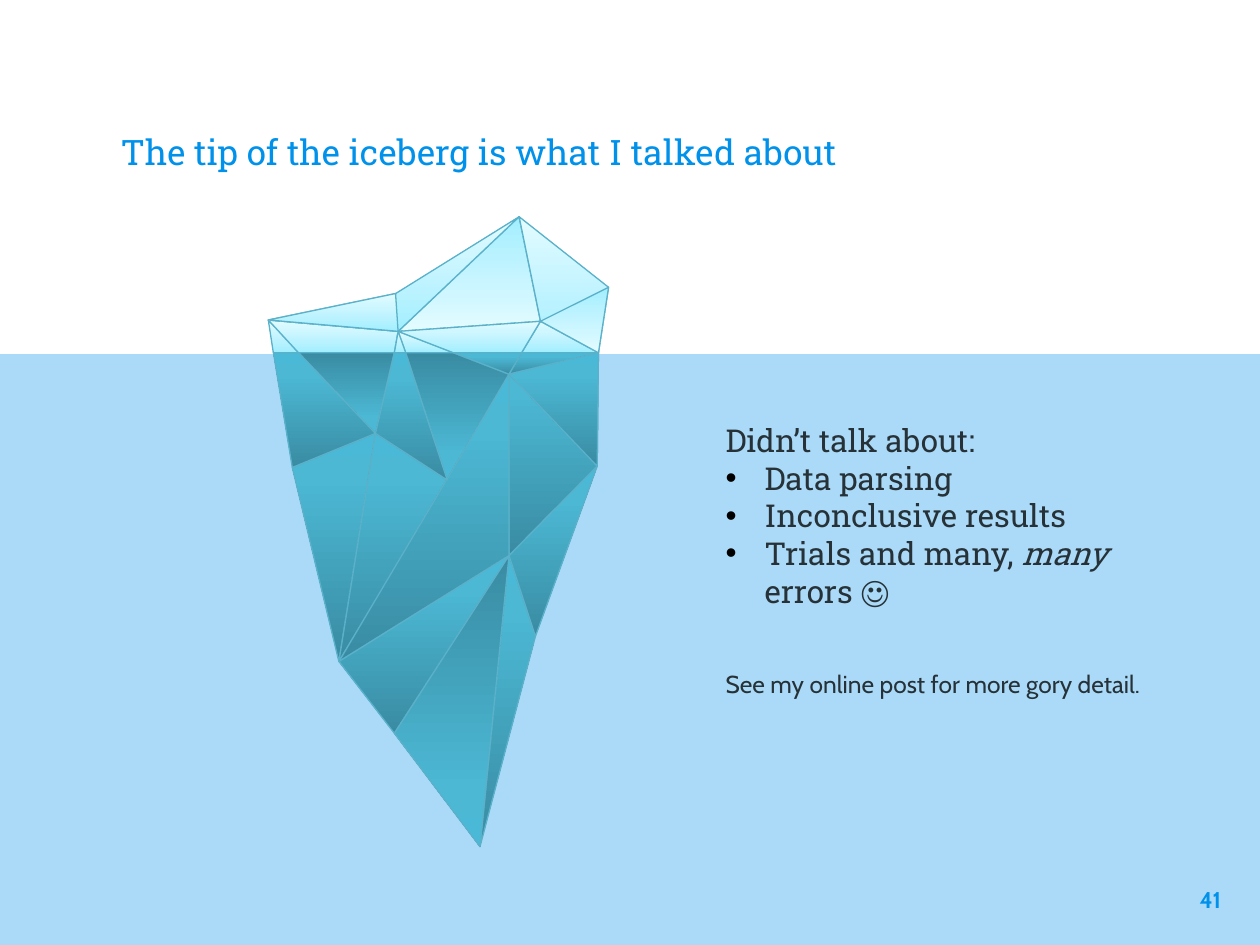
from copy import deepcopy

from lxml.etree import SubElement
from pptx import Presentation
from pptx.dml.color import RGBColor
from pptx.enum.shapes import MSO_SHAPE
from pptx.enum.text import MSO_ANCHOR, MSO_AUTO_SIZE, PP_ALIGN
from pptx.oxml.ns import qn
from pptx.util import Inches, Pt

BLUE = RGBColor(0x00, 0x91, 0xEA)
INK = RGBColor(0x26, 0x32, 0x38)
EDGE = RGBColor(0x5A, 0xB1, 0xC9)
ICE = [(0, RGBColor(0xA1, 0xEF, 0xFF)), (0.35, RGBColor(0xBB, 0xF2, 0xFF)),
       (1, RGBColor(0xE3, 0xFC, 0xFF))]
DEEP = [(0, RGBColor(0x39, 0x8B, 0xA2)), (0.8, RGBColor(0x4C, 0xB8, 0xD4)),
        (1, RGBColor(0x4A, 0xB9, 0xD8))]
SLAB, CABIN = "Roboto Slab", "Cabin"
UP, DOWN = 90, 270  # direction in which a gradient runs

# Corners of the iceberg: a-f above the water, g-m at its surface, n-w below.
CORNERS = {
    "a": (4.12, 1.72), "b": (4.83, 2.28), "c": (3.14, 2.33),
    "d": (2.13, 2.54), "e": (4.29, 2.55), "f": (3.16, 2.63),
    "g": (2.17, 2.8), "h": (2.37, 2.8), "i": (3.13, 2.8), "j": (3.22, 2.8),
    "k": (3.6, 2.8), "l": (4.14, 2.8), "m": (4.75, 2.8),
    "n": (4.04, 2.97), "o": (2.98, 3.44), "p": (4.74, 3.7),
    "q": (2.32, 3.71), "r": (3.55, 3.81), "s": (4.04, 4.41),
    "t": (4.25, 5.05), "u": (2.69, 5.25), "v": (3.13, 5.82),
    "w": (3.81, 6.72),
}
# Facets from back to front.
FACETS = [
    (ICE, UP, ["mdh"]), (ICE, DOWN, ["afe"]),
    (ICE, UP, ["abme", "dhg", "fihd", "afdc", "eml", "jfk", "cfd"]),
    (ICE, DOWN, ["bem"]), (ICE, UP, ["jfi"]),
    (DEEP, UP, ["mpsn", "ouq"]), (DEEP, DOWN, ["ioh"]),
    (DEEP, UP, ["stw", "mnl"]), (DEEP, DOWN, ["rjkn"]),
    (DEEP, UP, ["rou", "nus", "hoqg", "mnp", "orji", "usv"]),
    (DEEP, DOWN, ["vws"]), (DEEP, UP, ["pts"]),
    (ICE, UP, ["felk"]), (DEEP, UP, ["nlk"]),
]


class Deck:
    def __init__(self, prs):
        self.s = prs.slides.add_slide(prs.slide_layouts[5])

    def run(self, p, text, size, font=SLAB, color=INK, bold=False, italic=False):
        r = p.add_run()
        r.text = text
        r.font.size, r.font.name = Pt(size), font
        r.font.bold, r.font.italic = bold, italic
        r.font.color.rgb = color

    def frame(self, tf, inset_y):
        tf.word_wrap = True
        tf.auto_size = MSO_AUTO_SIZE.NONE
        tf.margin_left = tf.margin_right = Inches(0.1)
        tf.margin_top = tf.margin_bottom = Inches(inset_y)
        return tf

    def title(self, text, x, y, w, h):
        sp = self.s.shapes.title
        sp.left, sp.top, sp.width, sp.height = map(Inches, (x, y, w, h))
        tf = self.frame(sp.text_frame, 0.1)
        tf.vertical_anchor = MSO_ANCHOR.BOTTOM
        p = tf.paragraphs[0]
        p.alignment = PP_ALIGN.LEFT
        self.run(p, text, 20, color=BLUE)

    def textbox(self, x, y, w, h, inset_y=0.05):
        sp = self.s.shapes.add_textbox(*map(Inches, (x, y, w, h)))
        return self.frame(sp.text_frame, inset_y)

    def bullet(self, p, indent=0.31):
        pPr = p._p.get_or_add_pPr()
        pPr.set("marL", str(Inches(indent)))
        pPr.set("indent", str(-Inches(indent)))
        SubElement(SubElement(pPr, qn("a:buClr")), qn("a:srgbClr"), val="000000")
        SubElement(pPr, qn("a:buFont"), typeface="Arial")
        SubElement(pPr, qn("a:buChar"), char="•")

    def water(self, x, y, w, h, opacity):
        sp = self.s.shapes.add_shape(MSO_SHAPE.RECTANGLE,
                                     *map(Inches, (x, y, w, h)))
        sp.shadow.inherit = False
        sp.fill.solid()
        sp.fill.fore_color.rgb = BLUE
        sp.line.fill.background()
        color = sp._element.spPr.find(qn("a:solidFill"))[0]
        SubElement(color, qn("a:alpha"), val=str(opacity * 1000))

    def facet(self, group, corners, stops, angle):
        points = [tuple(map(Inches, CORNERS[c])) for c in corners]
        fb = group.shapes.build_freeform(*points[0])
        fb.add_line_segments(points[1:], close=True)
        sp = fb.convert_to_shape()
        sp.shadow.inherit = False
        sp.line.color.rgb, sp.line.width = EDGE, Pt(0.75)
        sp.fill.gradient()
        sp.fill.gradient_angle = angle
        gs_list = sp._element.spPr.find(qn("a:gradFill")).find(qn("a:gsLst"))
        gs_list.append(deepcopy(gs_list[0]))
        for stop, (position, color) in zip(sp.fill.gradient_stops, stops):
            stop.position, stop.color.rgb = position, color

    def iceberg(self):
        group = self.s.shapes.add_group_shape()
        for stops, angle, facets in FACETS:
            for corners in facets:
                self.facet(group, corners, stops, angle)


def main():
    prs = Presentation()
    prs.slide_width, prs.slide_height = Inches(10), Inches(7.5)
    deck = Deck(prs)
    deck.title("The tip of the iceberg is what I talked about",
               0.86, 0.45, 8.28, 1.02)
    deck.water(0, 2.81, 10, 4.69, opacity=33)
    deck.iceberg()

    tf = deck.textbox(5.66, 3.29, 3.89, 3.7)
    deck.run(tf.paragraphs[0], "Didn’t talk about:", 18)
    for text in ("Data parsing", "Inconclusive results", "Trials and many, "):
        p = tf.add_paragraph()
        deck.bullet(p)
        deck.run(p, text, 18)
    deck.run(p, "many", 18, italic=True)
    deck.run(p, " errors ☺", 18)
    p = tf.add_paragraph()
    p.space_before = Pt(34)
    deck.run(p, "See my online post for more gory detail.", 14, CABIN)

    p = deck.textbox(9.19, 6.93, 0.6, 0.57, inset_y=0.1).paragraphs[0]
    p.alignment = PP_ALIGN.RIGHT
    deck.run(p, "41", 13, CABIN, BLUE, bold=True)
    prs.save("out.pptx")


if __name__ == "__main__":
    main()
